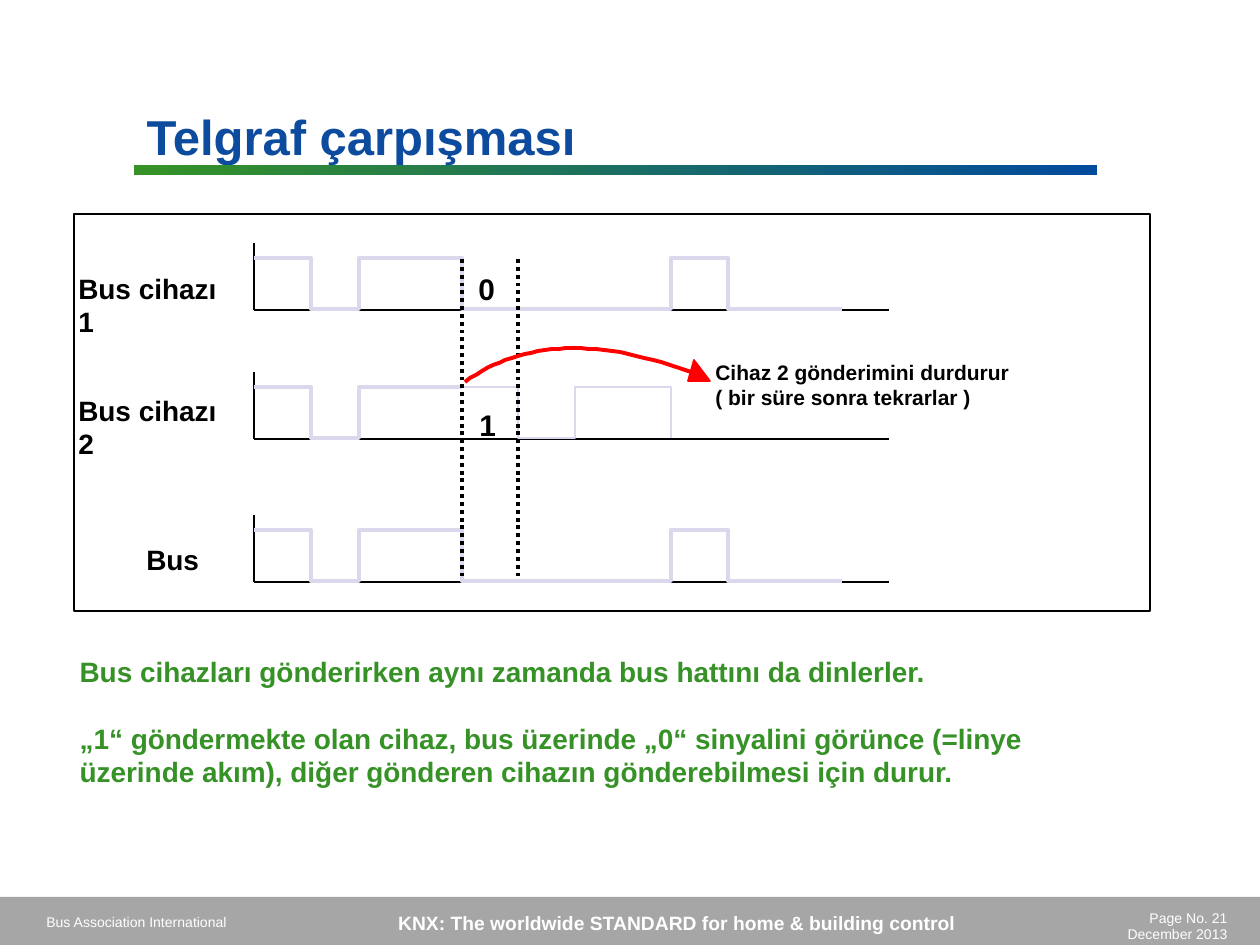
import pptx
import pptx.util
from pptx.dml.color import RGBColor
from pptx.enum.dml import MSO_LINE
from pptx.enum.shapes import MSO_CONNECTOR, MSO_SHAPE
from pptx.enum.text import MSO_ANCHOR, MSO_AUTO_SIZE, PP_ALIGN
from pptx.oxml.ns import qn
from lxml import etree

# Content
COLORS = {"blue": "0C4B9D", "green": "369226", "bar_end": "014B9D", "gray": "A6A6A6",
          "signal": "D9D8EC", "red": "FF0000", "black": "000000", "white": "FFFFFF"}
FONT = "Arial"
TITLE = "Telgraf çarpışması"
EXPLANATION = [
    "Bus cihazları gönderirken aynı zamanda bus hattını da dinlerler.",
    "„1“ göndermekte olan cihaz, bus üzerinde „0“ sinyalini görünce (=linye üzerinde akım), "
    "diğer gönderen cihazın gönderebilmesi için durur.",
]
# (lines, box in px, size, colour, bold, alignment, wrap)
FOOTER = [
    (["Bus Association International"], (34, 907, 287, 30), 8, "white", False, PP_ALIGN.LEFT, True),
    (["Page No. 21", "December 2013"], (1096, 903, 144, 47), 8, "white", False, PP_ALIGN.RIGHT, True),
    (["KNX: The worldwide STANDARD for home & building control"],
     (220, 905, 914, 37), 11, "white", True, PP_ALIGN.CENTER, True),
]
LABELS = [
    (["Bus cihazı 1"], (66, 265, 186, 45), 16, "black", True, PP_ALIGN.LEFT, False),
    (["Bus cihazı 2"], (66, 387, 186, 45), 16, "black", True, PP_ALIGN.LEFT, False),
    (["Bus"], (134, 536, 100, 45), 16, "black", True, PP_ALIGN.LEFT, True),
    (["0"], (466, 265, 42, 48), 17, "black", True, PP_ALIGN.LEFT, False),
    (["1"], (467, 401, 42, 48), 17, "black", True, PP_ALIGN.LEFT, False),
    (["Cihaz 2 gönderimini durdurur", "( bir süre sonra tekrarlar )"],
     (703, 353, 325, 63), 12, "black", True, PP_ALIGN.LEFT, False),
]
# Each signal starts high and toggles at every inner edge: (edges, line width)
FULL_SIGNAL = [([254, 311, 359, 462, 671, 728, 842], 2.25)]
STOPPED_SIGNAL = [([254, 311, 359, 462], 2.25), ([462, 518, 575, 671, 671], 1.5)]
ROWS = [(310, FULL_SIGNAL), (439, STOPPED_SIGNAL), (582, FULL_SIGNAL)]  # (baseline, signals)
AXIS_LEFT, AXIS_RIGHT, AXIS_RISE = 254, 889, 67
HIGH, LOW = 52, 1
COLLISION_BIT = (462, 518)
ARC_START, ARC_CONTROL, ARC_END, ARC_STEPS = (465, 382), (551, 319), (697, 374), 32
ARROWHEAD = [(710, 381), (694, 360), (688, 381)]

EMU_PER_PX = 914400 / 126


def px(value):
    return pptx.util.Emu(round(value * EMU_PER_PX))


def color(name):
    return RGBColor.from_string(COLORS[name])


def style_font(paragraph, size, name, bold):
    for run in paragraph.runs:
        run.font.size = pptx.util.Pt(size)
        run.font.name = FONT
        run.font.bold = bold
        run.font.color.rgb = color(name)


def place(shape, box):
    shape.left, shape.top, shape.width, shape.height = map(px, box)


def add_label(lines, box, size, name, bold, align, wrap):
    label = slide.shapes.add_textbox(*map(px, box)).text_frame
    label.word_wrap = wrap
    label.text = "\n".join(lines)
    for paragraph in label.paragraphs:
        paragraph.alignment = align
        style_font(paragraph, size, name, bold)


def add_rect(box, fill=None, line=None):
    rect = slide.shapes.add_shape(MSO_SHAPE.RECTANGLE, *map(px, box))
    rect.shadow.inherit = False
    if fill:
        rect.fill.solid()
        rect.fill.fore_color.rgb = color(fill)
    if line:
        rect.line.color.rgb = color(line)
        rect.line.width = pptx.util.Pt(1)
    else:
        rect.line.fill.background()
    return rect


def add_line(start, end, width=1, dash=None):
    line = slide.shapes.add_connector(MSO_CONNECTOR.STRAIGHT, *map(px, start + end))
    etree.SubElement(line._element.spPr, qn("a:effectLst"))
    line.line.color.rgb = color("black")
    line.line.width = pptx.util.Pt(width)
    if dash:
        line.line.dash_style = dash


def add_outline(points, name, width, filled=False):
    builder = slide.shapes.build_freeform(*points[0], scale=EMU_PER_PX)
    builder.add_line_segments(points[1:], close=filled)
    outline = builder.convert_to_shape()
    outline.shadow.inherit = False
    outline.line.color.rgb = color(name)
    outline.line.width = pptx.util.Pt(width)
    if filled:
        outline.fill.solid()
        outline.fill.fore_color.rgb = color(name)
    else:
        outline.fill.background()


def signal_points(edges, base):
    levels = (base - HIGH, base - LOW)
    points = []
    for i, (left, right) in enumerate(zip(edges, edges[1:])):
        points += [(left, levels[i % 2]), (right, levels[i % 2])]
    return points


def arc_point(t):
    return tuple((1 - t) ** 2 * a + 2 * t * (1 - t) * b + t ** 2 * c
                 for a, b, c in zip(ARC_START, ARC_CONTROL, ARC_END))


presentation = pptx.Presentation()
presentation.slide_width, presentation.slide_height = px(1260), px(945)
slide = presentation.slides.add_slide(presentation.slide_layouts[1])

# Title and explanation
title, explanation = slide.placeholders
place(title, (134, 96, 1071, 79))
title.text_frame.text = TITLE
title.text_frame.vertical_anchor = MSO_ANCHOR.MIDDLE
title.text_frame.paragraphs[0].alignment = PP_ALIGN.LEFT
style_font(title.text_frame.paragraphs[0], 28, "blue", True)

place(explanation, (67, 648, 1084, 146))
explanation.text_frame.text = "\n".join(EXPLANATION)
explanation.text_frame.auto_size = MSO_AUTO_SIZE.NONE
for i, paragraph in enumerate(explanation.text_frame.paragraphs):
    properties = paragraph._p.get_or_add_pPr()
    properties.set("marL", "0")
    properties.set("indent", "0")
    etree.SubElement(properties, qn("a:buNone"))
    paragraph.space_before = pptx.util.Pt(19 * i)
    style_font(paragraph, 16, "green", True)

# Title rule and footer
rule = add_rect((134, 165, 963, 10))
rule.fill.gradient()
rule.fill.gradient_angle = 0
for stop, name in zip(rule.fill.gradient_stops, ("green", "bar_end")):
    stop.color.rgb = color(name)
add_rect((0, 897, 1260, 52), "gray")
for label in FOOTER:
    add_label(*label)

# Timing diagram
add_rect((74, 214, 1076, 397), "white", "black")
for base, signals in ROWS:
    add_line((AXIS_LEFT, base), (AXIS_LEFT, base - AXIS_RISE))
    add_line((AXIS_LEFT, base), (AXIS_RIGHT, base))
    for edges, width in signals:
        add_outline(signal_points(edges, base), "signal", width)
for edge in COLLISION_BIT:
    add_line((edge, 259), (edge, 578), 2.25, MSO_LINE.ROUND_DOT)

# Stop arrow and labels
add_outline([arc_point(i / ARC_STEPS) for i in range(ARC_STEPS + 1)], "red", 2.25)
add_outline(ARROWHEAD, "red", 1, filled=True)
for label in LABELS:
    add_label(*label)

presentation.save("out.pptx")
